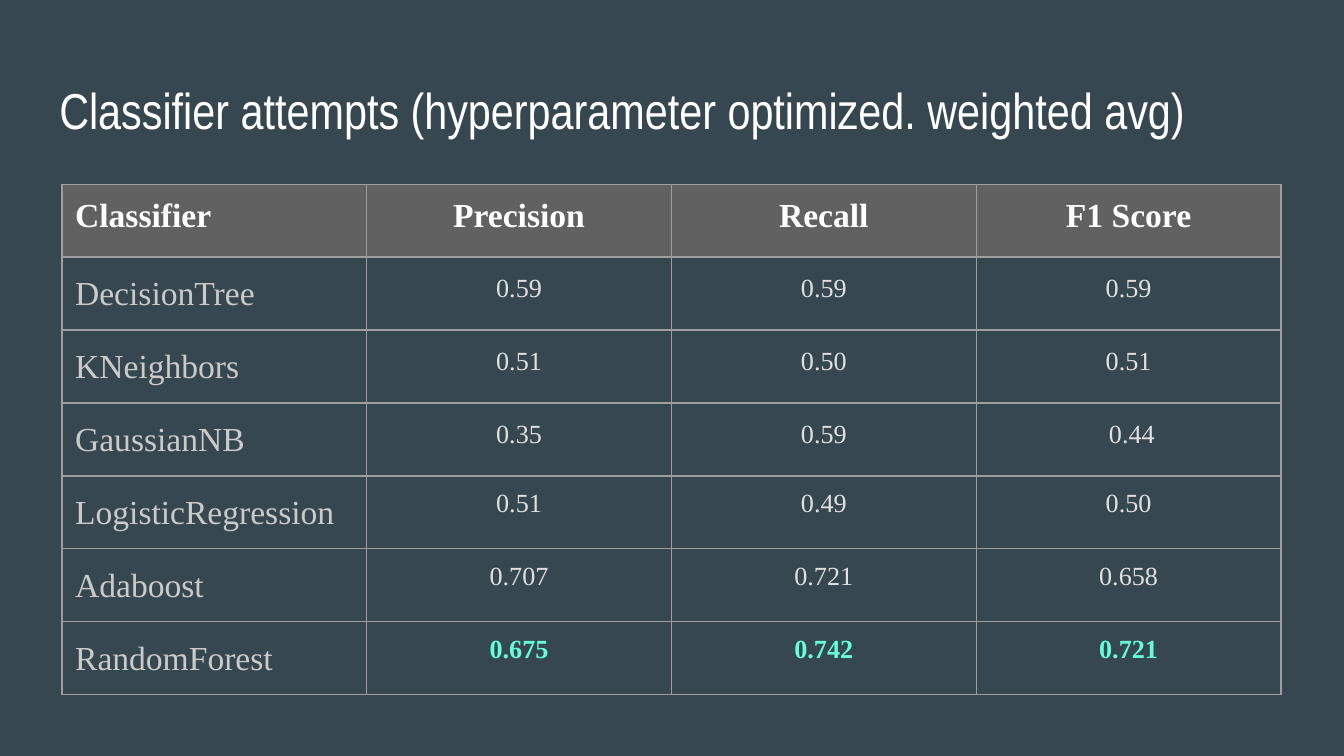
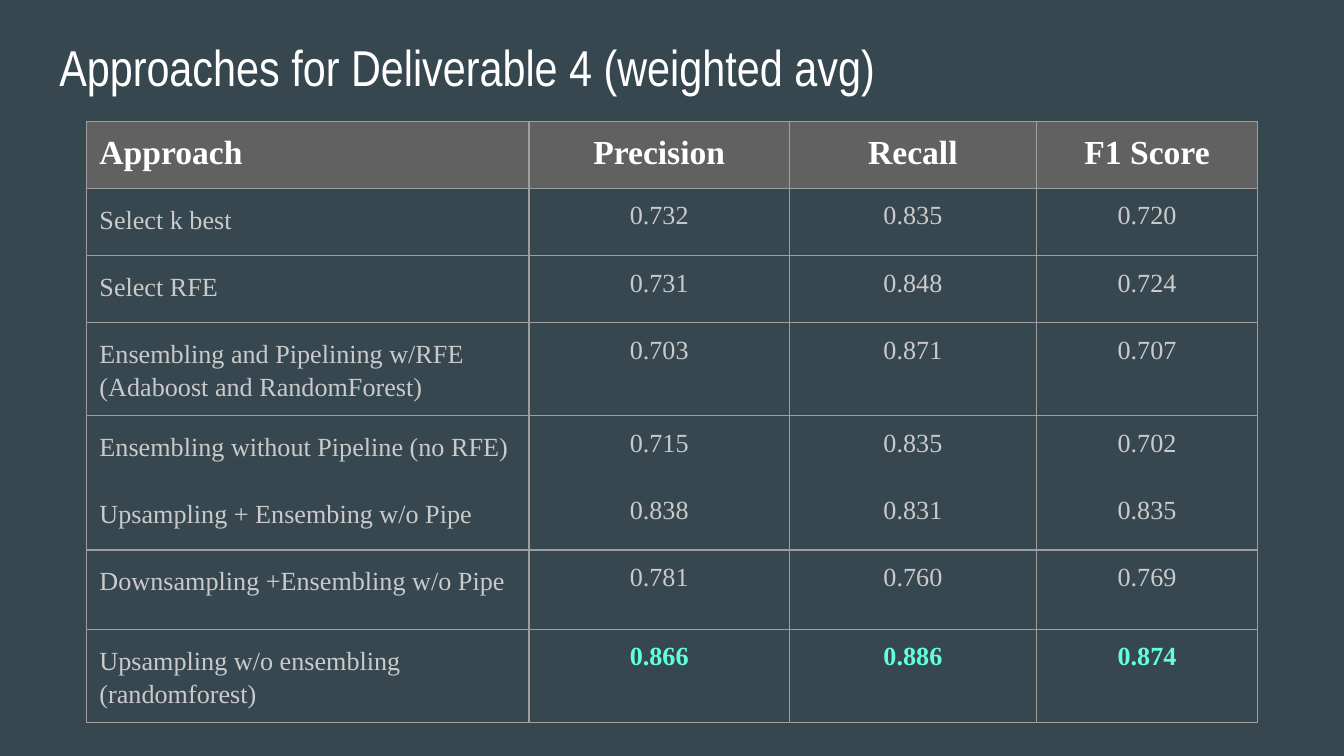
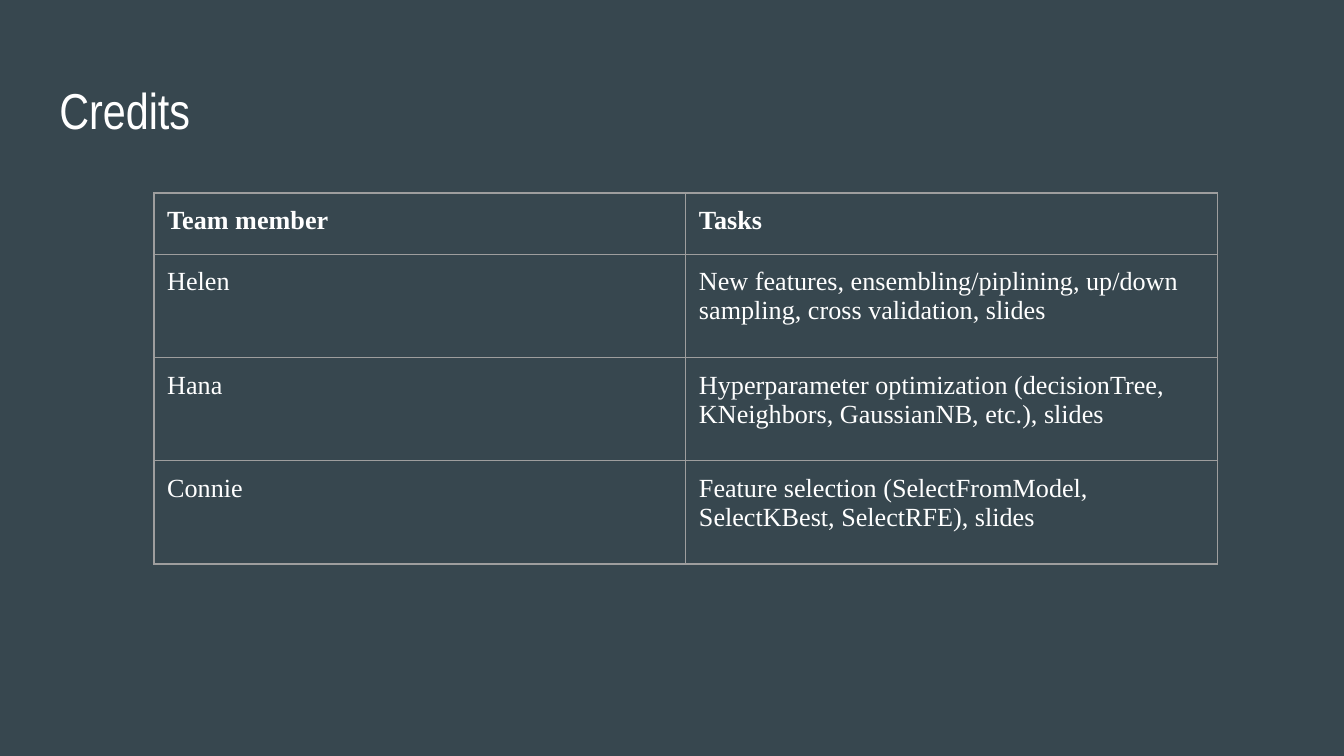
from lxml import etree
from pptx import Presentation
from pptx.dml.color import RGBColor as RGB
from pptx.enum.text import MSO_ANCHOR as Anchor, MSO_AUTO_SIZE as Auto, PP_ALIGN as Align
from pptx.oxml.ns import qn
from pptx.util import Cm, Pt

SLATE = RGB(0x37, 0x47, 0x4F)
GRAY = RGB(0x61, 0x61, 0x61)
RULE = RGB(0x9E, 0x9E, 0x9E)
SILVER = RGB(0xCA, 0xCA, 0xCA)
PALE = RGB(0xE0, 0xE0, 0xE0)
MINT = RGB(0x64, 0xFF, 0xDA)
WHITE = RGB(0xFF, 0xFF, 0xFF)
PAD = Cm(0.25)


def set_box(item):
    item.margin_left = item.margin_right = PAD
    item.margin_top = item.margin_bottom = PAD
    item.vertical_anchor = Anchor.TOP


def add_rules(cell, bare):
    """Draw the four cell borders, leaving out the sides in bare."""
    props = cell._tc.get_or_add_tcPr()
    for side in ("L", "R", "T", "B"):
        line = etree.SubElement(props, qn("a:ln" + side), w=str(Pt(0.75)))
        if side in bare:
            etree.SubElement(line, qn("a:noFill"))
        else:
            fill = etree.SubElement(line, qn("a:solidFill"))
            etree.SubElement(fill, qn("a:srgbClr"), val=str(RULE))


# Table contents
SCORES = ["Precision", "Recall", "F1 Score"]
tries = [
    ["Classifier"] + SCORES,
    ["DecisionTree", "0.59", "0.59", "0.59"],
    ["KNeighbors", "0.51", "0.50", "0.51"],
    ["GaussianNB", "0.35", "0.59", " 0.44"],
    ["LogisticRegression", "0.51", "0.49", "0.50"],
    ["Adaboost", "0.707", "0.721", "0.658"],
    ["RandomForest", "0.675", "0.742", "0.721"],
]
plans = [
    ["Approach"] + SCORES,
    ["Select k best", "0.732", "0.835", "0.720"],
    ["Select RFE", "0.731", "0.848", "0.724"],
    ["Ensembling and Pipelining w/RFE (Adaboost and RandomForest)",
     "0.703", "0.871", "0.707"],
    ["Ensembling without Pipeline (no RFE)", "0.715", "0.835", "0.702"],
    ["Upsampling + Ensembing w/o Pipe", "0.838", "0.831", "0.835"],
    ["Downsampling +Ensembling w/o Pipe", "0.781", "0.760", "0.769"],
    ["Upsampling w/o ensembling (randomforest)", "0.866", "0.886", "0.874"],
]
team = [
    ["Team member", "Tasks"],
    ["Helen", "New features, ensembling/piplining, up/down sampling, "
              "cross validation, slides"],
    ["Hana", "Hyperparameter optimization (decisionTree, KNeighbors, "
             "GaussianNB, etc.), slides"],
    ["Connie", "Feature selection (SelectFromModel, SelectKBest, SelectRFE), slides"],
]

# Per slide: title, title top, rows, table left and top, widths, heights,
# scored or plain, name size, score colour, loosely spaced score rows, bare rules
pages = [
    ("Classifier attempts (hyperparameter optimized. weighted avg)", 1.24,
     tries, 1.17, 3.48, [5.76] * 4, [1.38] * 7,
     True, 18, PALE, (1, 2, 3), {}),
    ("Approaches for Deliverable 4 (weighted avg)", 0.44,
     plans, 1.63, 2.29, [8.37, 4.92, 4.67, 4.18],
     [1.27, 1.27, 1.27, 1.68, 1.27, 1.27, 1.5, 1.68],
     True, 14, SILVER, (), {4: "B", 5: "T"}),
    ("Credits", 1.24,
     team, 2.91, 3.65, [10.05] * 2, [1.16] + [1.95] * 3,
     False, 14, WHITE, (), {}),
]

deck = Presentation()
deck.slide_width, deck.slide_height = Cm(25.4), Cm(14.29)
back = deck.slide_master.background.fill
back.solid()
back.fore_color.rgb = SLATE

for (name, high, rows, left, top, widths, heights,
     scored, size, tint, loose, bare) in pages:
    slide = deck.slides.add_slide(deck.slide_layouts[5])

    # Title
    title = slide.shapes.title
    title.left, title.top = Cm(0.87), Cm(high)
    title.width, title.height = Cm(23.67), Cm(1.59)
    frame = title.text_frame
    frame.text = name
    frame.auto_size = Auto.NONE
    set_box(frame)
    para = frame.paragraphs[0]
    para.alignment = Align.LEFT
    para.font.name, para.font.size = "Arial Narrow", Pt(27)
    para.font.color.rgb = WHITE

    # Table grid
    table = slide.shapes.add_table(
        len(rows), len(widths), Cm(left), Cm(top),
        Cm(sum(widths)), Cm(sum(heights))).table
    table.first_row = table.horz_banding = False
    for col, width in zip(table.columns, widths):
        col.width = Cm(width)
    for row, height in zip(table.rows, heights):
        row.height = Cm(height)

    # Cells
    for r, row in enumerate(rows):
        for c, text in enumerate(row):
            cell = table.cell(r, c)
            cell.text = text
            set_box(cell)
            add_rules(cell, bare.get(r, ""))
            head = r == 0
            best = scored and c > 0 and r == len(rows) - 1
            if head and scored:
                cell.fill.solid()
                cell.fill.fore_color.rgb = GRAY
            else:
                cell.fill.background()

            para = cell.text_frame.paragraphs[0]
            para.alignment = Align.CENTER if scored and c else Align.LEFT
            font = para.font
            font.name, font.bold = "Times New Roman", head or best
            font.size = Pt(18 if head and scored else 14 if c else size)
            if head:
                font.color.rgb = WHITE
            elif best:
                font.color.rgb = MINT
            else:
                font.color.rgb = SILVER if scored and c == 0 else tint
            if scored and not head:
                if c == 0:
                    para.space_after = Pt(12)
                if c == 0 or r in loose:
                    para.line_spacing = 1.15

deck.save("out.pptx")
